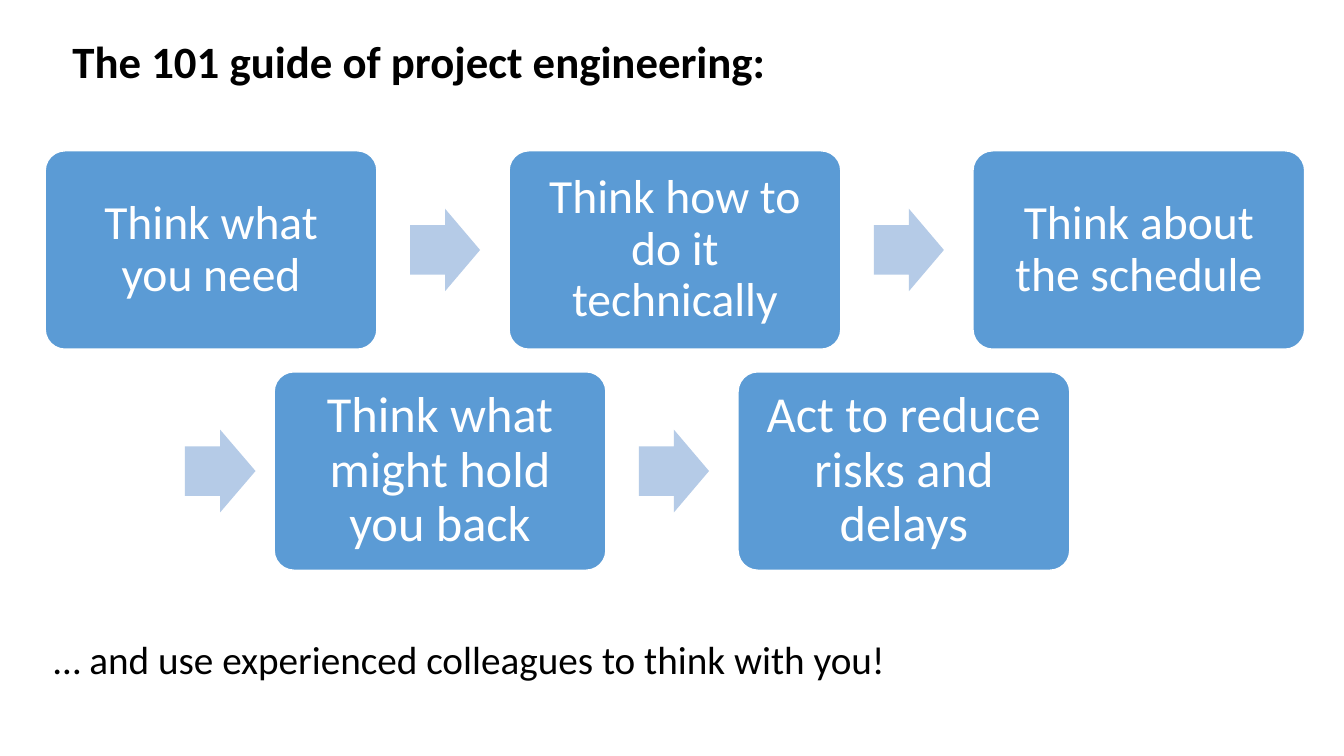
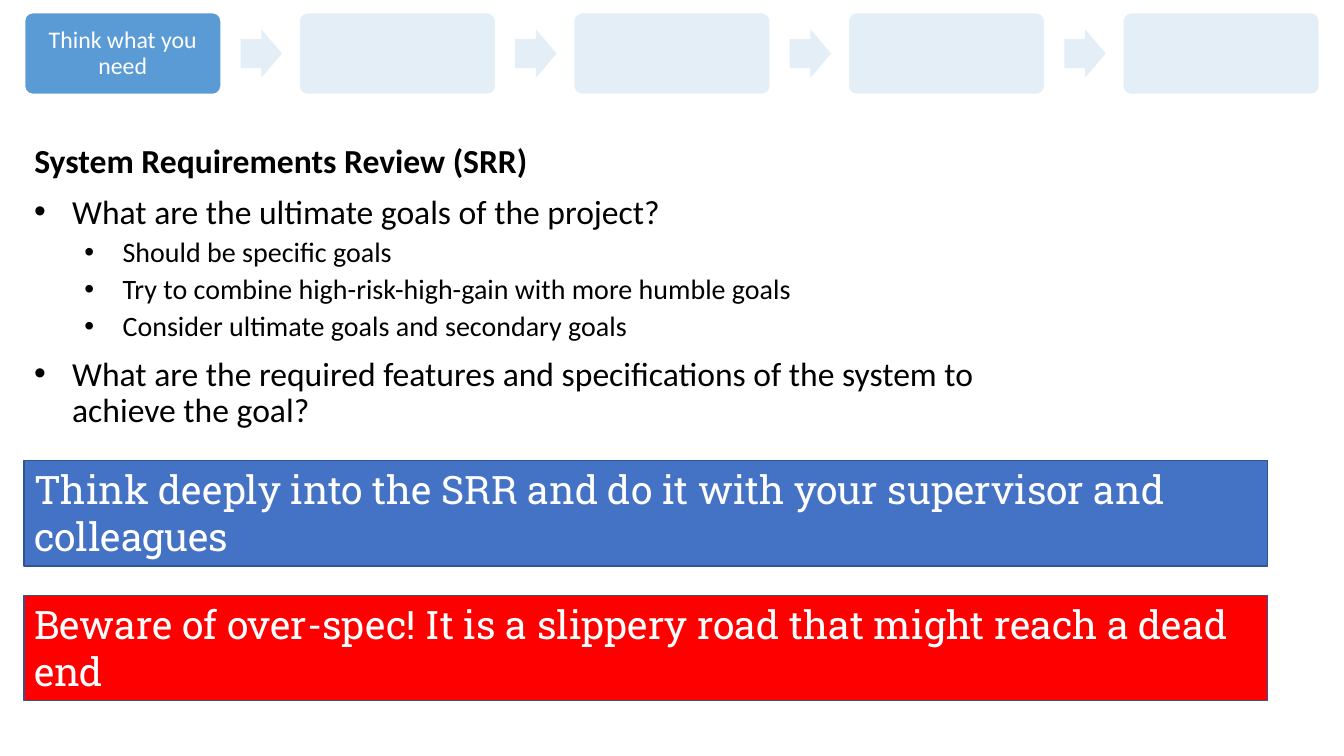
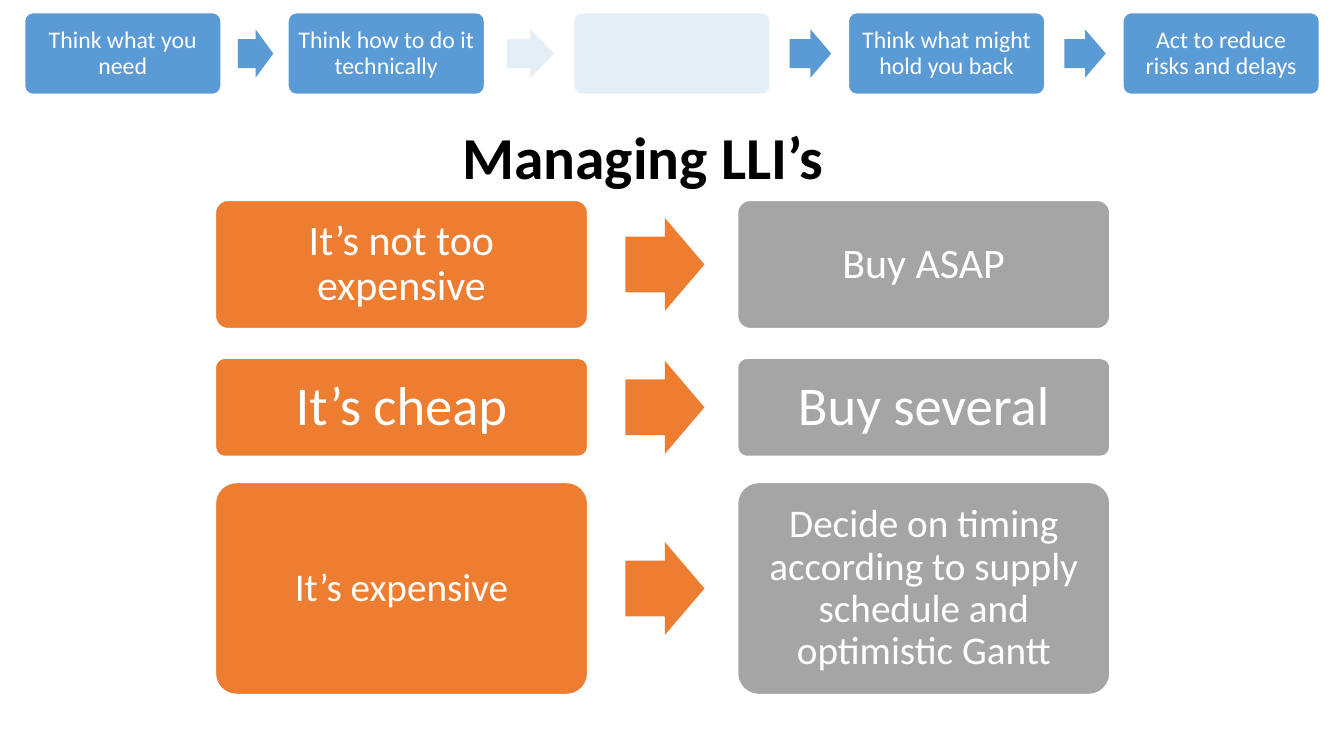
from dataclasses import dataclass
from typing import Optional

from lxml.etree import SubElement as SubEl
from pptx import Presentation
from pptx.dml.color import RGBColor as Rgb
from pptx.enum.shapes import MSO_SHAPE as Kind
from pptx.enum.text import MSO_ANCHOR as Anchor, MSO_AUTO_SIZE as Fit, PP_ALIGN as Align
from pptx.oxml.ns import qn
from pptx.util import Cm, Pt

HEX = {
    "black": "000000", "white": "FFFFFF", "step": "5B9BD5", "pale": "B5CBE7",
    "cause": "ED7D31", "deed": "A5A5A5", "note": "4472C4", "alarm": "FF0000",
    "edge": "325491",
}
SANS, SLAB = "Calibri", "Roboto Slab"
FADE = 17  # opacity of a faded step, in percent
STEPS = [
    "Think what you need",
    "Think how to do it technically",
    "Think about the schedule",
    "Think what might hold you back",
    "Act to reduce risks and delays",
]


@dataclass
class Box:
    """A rounded step; lengths in centimetres."""
    text: str
    left: float
    top: float
    width: float
    height: float
    size: float
    fill: str = "step"
    faded: bool = False
    edge: float = 1


@dataclass
class Point:
    """A bullet of the body text."""
    text: str
    size: float = 24
    level: int = 0
    before: float = 10


@dataclass
class Case:
    """A row of the cause and deed chart."""
    cause: str
    deed: str
    top: float
    height: float
    size: float


# Shared helpers
def ink(name: str) -> Rgb:
    return Rgb.from_string(HEX[name])


def style(para, size: float, color: str = "black", font: str = SANS,
          bold: bool = False, space: Optional[float] = 0.9) -> None:
    para.line_spacing = space
    for run in para.runs:
        run.font.name, run.font.size, run.font.bold = font, Pt(size), bold
        run.font.color.rgb = ink(color)


def shape(slide, kind, left: float, top: float, width: float, height: float,
          fill: str, faded: bool = False):
    item = slide.shapes.add_shape(kind, Cm(left), Cm(top), Cm(width), Cm(height))
    item.shadow.inherit = False
    item.fill.solid()
    item.fill.fore_color.rgb = ink(fill)
    if faded:
        color = item.fill._xPr.find(qn("a:solidFill"))[0]
        SubEl(color, qn("a:alpha")).set("val", str(FADE * 1000))
    item.line.fill.background()
    return item


def border(item, color: str, width: float) -> None:
    item.line.color.rgb = ink(color)
    item.line.width = Pt(width)


def draw(slide, box: Box) -> None:
    item = shape(slide, Kind.ROUNDED_RECTANGLE, box.left, box.top, box.width,
                 box.height, box.fill, box.faded)
    item.adjustments[0] = 0.1
    border(item, "white", box.edge)
    if box.faded:  # a faded step carries no label
        return
    frame = item.text_frame
    frame.text, frame.word_wrap = box.text, True
    frame.vertical_anchor = Anchor.MIDDLE
    frame.margin_left = frame.margin_right = Cm(box.size * 0.01)
    frame.margin_top = frame.margin_bottom = 0
    para = frame.paragraphs[0]
    para.alignment = Align.CENTER
    style(para, box.size, "white")


def arrow(slide, left: float, mid: float, width: float, height: float,
          fill: str, faded: bool = False) -> None:
    item = shape(slide, Kind.RIGHT_ARROW, left, mid - height / 2, width,
                 height, fill, faded)
    item.adjustments[0], item.adjustments[1] = 0.6, 0.5


def chain(slide, boxes: list[Box], height: float, fill: str) -> None:
    """Draw a row of boxes with an arrow in each gap."""
    for box in boxes:
        draw(slide, box)
    for one, two in zip(boxes, boxes[1:]):
        end = one.left + one.width
        gap = two.left - end
        arrow(slide, end + gap * 0.25, one.top + one.height / 2,
              gap * 0.53, height, fill, two.faded)


def title(slide, text: str, left: float, top: float, width: float,
          height: float, size: float, align=Align.LEFT, space: float = 0.9) -> None:
    head = slide.shapes.title
    head.left, head.top, head.width, head.height = map(Cm, (left, top, width, height))
    frame = head.text_frame
    frame.text, frame.word_wrap = text, True
    frame.auto_size, frame.vertical_anchor = Fit.NONE, Anchor.TOP
    frame.margin_bottom = 0
    para = frame.paragraphs[0]
    para.alignment = align
    style(para, size, bold=True, space=space)


def textbox(slide, left: float, top: float, width: float, height: float):
    frame = slide.shapes.add_textbox(Cm(left), Cm(top), Cm(width), Cm(height)).text_frame
    frame.word_wrap = True
    return frame


def strip(slide, faded: set[int], moved: Optional[dict[int, float]] = None) -> None:
    """Draw the small row of steps at the top of a slide."""
    moved = moved or {}
    boxes = [Box(text, 0.62 + 6.92 * i + moved.get(i, 0), 0.32, 4.95, 2.06, 17,
                 faded=i in faded) for i, text in enumerate(STEPS)]
    chain(slide, boxes, 1.22, "step")


def bullets(slide, points: list[Point]) -> None:
    frame = textbox(slide, 0.61, 4.79, 25.4, 6.5)
    for i, point in enumerate(points):
        para = frame.add_paragraph() if i else frame.paragraphs[0]
        para.text, para.level = point.text, point.level
        props = para._p.get_or_add_pPr()
        props.set("marL", str(Cm(0.96 + 1.27 * point.level)))
        props.set("indent", str(-Cm(0.96)))
        SubEl(props, qn("a:buFont")).set("typeface", "Arial")
        SubEl(props, qn("a:buChar")).set("char", "•")
        if i:
            para.space_before = Pt(point.before)
        style(para, point.size)


def banner(slide, text: str, top: float, fill: str) -> None:
    item = shape(slide, Kind.RECTANGLE, 0.61, top, 31.34, 2.65, fill)
    border(item, "edge", 1)
    frame = item.text_frame
    frame.text, frame.word_wrap = text, True
    frame.auto_size, frame.vertical_anchor = Fit.SHAPE_TO_FIT_TEXT, Anchor.TOP
    para = frame.paragraphs[0]
    para.alignment = Align.LEFT
    style(para, 28, "white", SLAB, space=None)


# Slides
def guide(slide) -> None:
    title(slide, "The 101 guide of project engineering:", 1.57, 0.88, 23.83, 1.68, 32)
    rows = [(STEPS[:3], 1.14, 3.8, 34), (STEPS[3:], 6.91, 9.37, 36)]
    for texts, left, top, size in rows:
        boxes = [Box(text, left + 11.69 * i, top, 8.36, 5, size)
                 for i, text in enumerate(texts)]
        chain(slide, boxes, 2.08, "pale")
    arrow(slide, 4.66, 11.87, 1.78, 2.08, "pale")
    frame = textbox(slide, 1.1, 16.03, 28.45, 1.68)
    frame.text = "… and use experienced colleagues to think with you!"
    style(frame.paragraphs[0], 28)


def review(slide) -> None:
    title(slide, "System Requirements Review (SRR)", 0.61, 3.51, 25.4, 1.25, 24)
    bullets(slide, [
        Point("What are the ultimate goals of the project?"),
        Point("Should be specific goals", 20, 1, 5),
        Point("Try to combine high-risk-high-gain with more humble goals", 20, 1, 5),
        Point("Consider ultimate goals and secondary goals", 20, 1, 5),
        Point("What are the required features and specifications of the system "
              "to achieve the goal?"),
    ])
    strip(slide, {1, 2, 3, 4})
    banner(slide, "Think deeply into the SRR and do it with your supervisor and "
           "colleagues", 11.61, "note")
    banner(slide, "Beware of over-spec! It is a slippery road that might reach a "
           "dead end", 15.01, "alarm")


def items(slide) -> None:
    title(slide, "Managing LLI’s", 1.8, 3.25, 28.8, 1.75, 42.5, Align.CENTER, 0.8)
    cases = [
        Case("It’s not too expensive", "Buy ASAP", 5.04, 3.25, 30),
        Case("It’s cheap", "Buy several", 9.02, 2.49, 39),
        Case("It’s expensive", "Decide on timing according to supply schedule "
             "and optimistic Gantt", 12.15, 5.36, 28),
    ]
    for case in cases:
        pair = [(case.cause, 5.42, "cause"), (case.deed, 18.58, "deed")]
        boxes = [Box(text, left, case.top, 9.4, case.height, case.size, fill, edge=1.5)
                 for text, left, fill in pair]
        chain(slide, boxes, 2.34, "cause")
    strip(slide, {2}, {1: -0.28})


def main() -> None:
    deck = Presentation()
    deck.slide_width, deck.slide_height = Cm(33.87), Cm(19.05)
    for build in (guide, review, items):
        build(deck.slides.add_slide(deck.slide_layouts[5]))
    deck.save("out.pptx")


if __name__ == "__main__":
    main()
